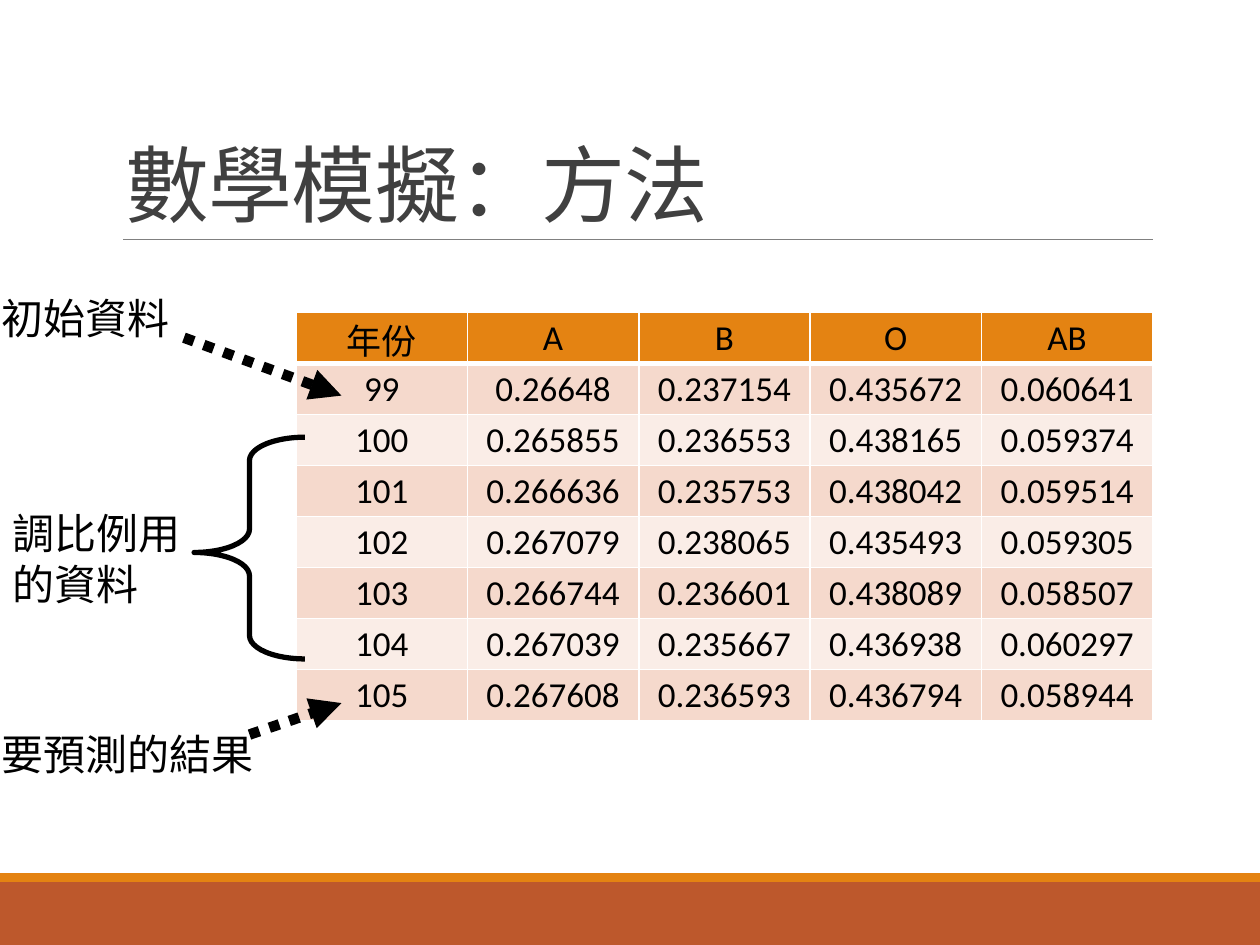
from dataclasses import dataclass

from lxml import etree
from pptx import Presentation
from pptx.dml.color import RGBColor
from pptx.enum.dml import MSO_LINE
from pptx.enum.shapes import MSO_CONNECTOR, MSO_SHAPE
from pptx.enum.text import MSO_ANCHOR, PP_ALIGN
from pptx.oxml.ns import qn
from pptx.util import Inches, Pt

RECTANGLE = MSO_SHAPE.RECTANGLE
LEFT_BRACE = MSO_SHAPE.LEFT_BRACE
STRAIGHT = MSO_CONNECTOR.STRAIGHT
DOTTED = MSO_LINE.ROUND_DOT
TOP, MIDDLE, BOTTOM = MSO_ANCHOR.TOP, MSO_ANCHOR.MIDDLE, MSO_ANCHOR.BOTTOM
LEFT, CENTER = PP_ALIGN.LEFT, PP_ALIGN.CENTER


@dataclass(frozen=True)
class Theme:
    black: str = "000000"
    white: str = "FFFFFF"
    title: str = "404040"
    rule: str = "808080"
    orange: str = "E48312"
    rust: str = "BD582C"
    band_dark: str = "F5D9CC"
    band_light: str = "FAEDE7"
    latin_font: str = "Calibri"
    chinese_font: str = "Noto Sans CJK SC"
    title_size: int = 48
    label_size: int = 24
    table_size: int = 20


THEME = Theme()

HEADERS = ["年份", "A", "B", "O", "AB"]
FREQUENCIES = [
    ["99", "0.26648", "0.237154", "0.435672", "0.060641"],
    ["100", "0.265855", "0.236553", "0.438165", "0.059374"],
    ["101", "0.266636", "0.235753", "0.438042", "0.059514"],
    ["102", "0.267079", "0.238065", "0.435493", "0.059305"],
    ["103", "0.266744", "0.236601", "0.438089", "0.058507"],
    ["104", "0.267039", "0.235667", "0.436938", "0.060297"],
    ["105", "0.267608", "0.236593", "0.436794", "0.058944"],
]


def rgb(value):
    return RGBColor.from_string(value)


def write_text(frame, text, *, size, font=THEME.chinese_font, color=THEME.black,
               align=LEFT, line_spacing=None, tracking=None):
    """Fill a text frame, one paragraph for each line of text."""
    frame.text = text
    for paragraph in frame.paragraphs:
        paragraph.alignment = align
        paragraph.line_spacing = line_spacing
        for run in paragraph.runs:
            run.font.size = Pt(size)
            run.font.name = font
            run.font.color.rgb = rgb(color)
            properties = run.font._element
            east_asian = etree.Element(qn("a:ea"), typeface=THEME.chinese_font)
            properties.find(qn("a:latin")).addnext(east_asian)
            if tracking is not None:
                properties.set("spc", str(int(tracking * 100)))


def add_text(slide, box, text, *, wrap=False, anchor=TOP, **text_format):
    frame = slide.shapes.add_textbox(*map(Inches, box)).text_frame
    frame.word_wrap = wrap
    frame.vertical_anchor = anchor
    write_text(frame, text, **text_format)


def add_bar(slide, box, color):
    bar = slide.shapes.add_shape(RECTANGLE, *map(Inches, box))
    bar.shadow.inherit = False
    bar.fill.solid()
    bar.fill.fore_color.rgb = rgb(color)
    bar.line.fill.background()


def add_line(slide, start, end, color, width):
    connector = slide.shapes.add_connector(STRAIGHT, *map(Inches, (*start, *end)))
    connector.line.color.rgb = rgb(color)
    connector.line.width = Pt(width)
    etree.SubElement(connector._element.spPr, qn("a:effectLst"))
    return connector


def add_dotted_arrow(slide, start, end):
    arrow = add_line(slide, start, end, THEME.black, 6)
    arrow.line.dash_style = DOTTED
    etree.SubElement(arrow.line._get_or_add_ln(), qn("a:tailEnd"), type="triangle")


def add_brace(slide, box):
    brace = slide.shapes.add_shape(LEFT_BRACE, *map(Inches, box))
    brace.shadow.inherit = False
    brace.adjustments[0] = 0.21
    brace.adjustments[1] = 0.52
    brace.fill.background()
    brace.line.color.rgb = rgb(THEME.black)
    brace.line.width = Pt(3)


def add_footer(slide, box):
    left, top, width, height = box
    stripe = 0.07
    add_bar(slide, (left, top + stripe, width, height - stripe), THEME.rust)
    add_bar(slide, (left, top, width, stripe), THEME.orange)


def add_title(slide, box):
    left, top, width, height = box
    bottom = top + height
    add_line(slide, (left + 0.08, bottom), (left + width, bottom), THEME.rule, 0.5)
    add_text(slide, box, "數學模擬：方法", wrap=True, anchor=BOTTOM,
             size=THEME.title_size, color=THEME.title, line_spacing=0.85, tracking=-0.5)


def set_borders(cell, widths):
    """Draw white borders; widths maps an edge (L, R, T, B) to points."""
    properties = cell._tc.get_or_add_tcPr()
    for index, edge in enumerate("LRTB"):
        line = etree.Element(qn(f"a:ln{edge}"), w=str(Pt(widths[edge])))
        fill = etree.SubElement(line, qn("a:solidFill"))
        etree.SubElement(fill, qn("a:srgbClr"), val=THEME.white)
        properties.insert(index, line)


def add_frequency_table(slide, box):
    rows = [HEADERS, *FREQUENCIES]
    table = slide.shapes.add_table(len(rows), len(HEADERS), *map(Inches, box)).table
    for row_index, values in enumerate(rows):
        if row_index == 0:
            fill = THEME.orange
        else:
            fill = THEME.band_dark if row_index % 2 else THEME.band_light
        borders = {"L": 1, "R": 1, "T": 3 if row_index == 1 else 1,
                   "B": 3 if row_index == 0 else 1}
        for column_index, value in enumerate(values):
            cell = table.cell(row_index, column_index)
            cell.vertical_anchor = MIDDLE
            cell.margin_left = cell.margin_right = cell.margin_top = Inches(0.01)
            cell.margin_bottom = 0
            cell.fill.solid()
            cell.fill.fore_color.rgb = rgb(fill)
            set_borders(cell, borders)
            write_text(cell.text_frame, value, size=THEME.table_size,
                       font=THEME.latin_font, align=CENTER)


def add_row_notes(slide, box):
    """Label the starting, fitting and predicted rows to the left of the table."""
    left, top, width, height = box
    arrow_tip = left + width
    label = {"size": THEME.label_size}
    add_text(slide, (left, top, 1.55, 0.5), "初始資料", **label)
    add_dotted_arrow(slide, (left + 1.55, top + 0.41), (arrow_tip, top + 0.87))
    add_text(slide, (left + 0.09, top + 1.71, 1.55, 0.91), "調比例用\n的資料", **label)
    add_brace(slide, (left + 1.63, top + 1.2, 0.88, 1.76))
    bottom = top + height
    add_text(slide, (left, bottom - 0.5, 2.22, 0.5), "要預測的結果", **label)
    add_dotted_arrow(slide, (left + 2.07, bottom - 0.4), (arrow_tip, bottom - 0.65))


def main():
    presentation = Presentation()
    presentation.slide_width = Inches(10)
    presentation.slide_height = Inches(7.5)
    slide = presentation.slides.add_slide(presentation.slide_layouts[6])
    add_footer(slide, (0, 6.93, 10, 0.57))
    add_title(slide, (0.9, 0.31, 8.25, 1.59))
    add_frequency_table(slide, (2.35, 2.48, 6.8, 3.24))
    add_row_notes(slide, (-0.09, 2.27, 2.8, 3.96))
    presentation.save("out.pptx")


if __name__ == "__main__":
    main()
